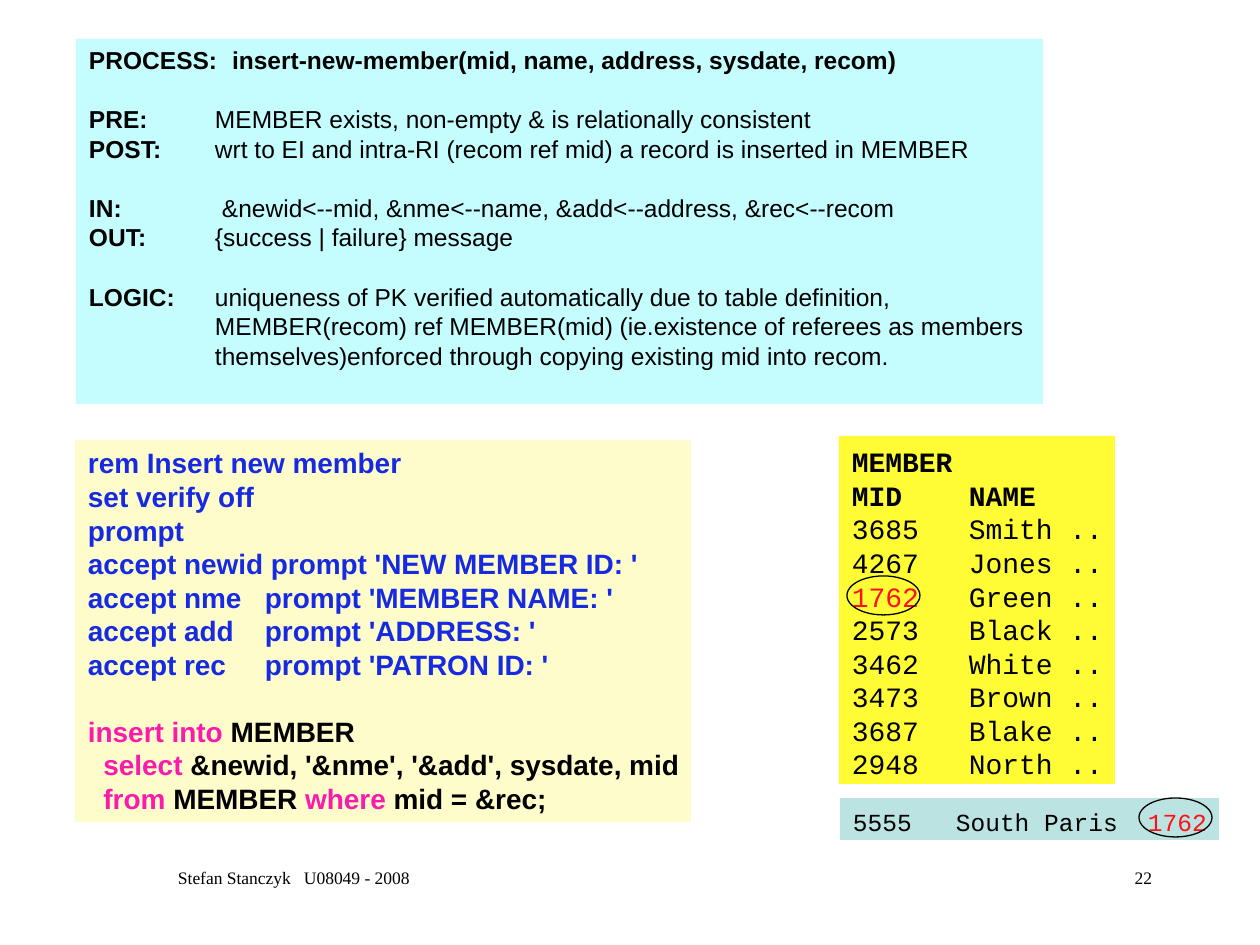
"""Build the slide that specifies and codes the insert-new-member process."""
import pptx
import pptx.util
import pptx.dml.color
import pptx.enum.shapes
import pptx.enum.text
import pptx.oxml

SCALE = 914400 / 126
SHAPE = pptx.enum.shapes.MSO_SHAPE
ALIGN = pptx.enum.text.PP_ALIGN

THEME = {
    "sky": "C5FDFF", "cream": "FFFCCC", "gold": "FFFC35", "teal": "BAE3E1",
    "ink": "000000", "blue": "162AE1", "pink": "FA1BAC", "red": "FF1115",
    "sans": "Arial", "mono": "Courier New", "serif": "Times New Roman",
    "small": 10, "mid": 14, "large": 16, "edge": 0.75,
    "lead": {10: 12, 14: 16.9, 16: 19.17},
}

BOLD, PLAIN = ("ink", True), ("ink", False)
BLUE, PINK, RED = ("blue", True), ("pink", True), ("red", False)


def entry(label, text, tab=126, gap=False):
    return [tab], gap, [(label + "\t", BOLD), (text, PLAIN)]


PROCESS = [
    ([143], False, [("PROCESS:\tinsert-new-member(mid, name, address, sysdate, recom)", BOLD)]),
    entry("PRE:", "MEMBER exists, non-empty & is relationally consistent", gap=True),
    entry("POST:", "wrt to EI and intra-RI (recom ref mid) a record is inserted in MEMBER"),
    entry("IN:", "&newid<--mid, &nme<--name, &add<--address, &rec<--recom", 133, True),
    entry("OUT:", "{success | failure} message"),
    entry("LOGIC:", "uniqueness of PK verified automatically due to table definition,", gap=True),
    entry("", "MEMBER(recom) ref MEMBER(mid) (ie.existence of referees as members"),
    entry("", "themselves)enforced through copying existing mid into recom."),
]

PROMPTS = [
    "rem Insert new member",
    "set verify off",
    "prompt",
    "accept newid prompt 'NEW MEMBER ID: '",
    "accept nme\tprompt 'MEMBER NAME: '",
    "accept add\tprompt 'ADDRESS: '",
    "accept rec\tprompt 'PATRON ID: '",
]
CODE = [([177], False, [(line, BLUE)]) for line in PROMPTS] + [
    ([], True, [("insert into ", PINK), ("MEMBER", BOLD)]),
    ([], False, [("  select ", PINK), ("&newid, '&nme', '&add', sysdate, mid", BOLD)]),
    ([], False, [("  from ", PINK), ("MEMBER ", BOLD), ("where ", PINK), ("mid = &rec;", BOLD)]),
]

REF = "1762"
ROWS = [("3685", "Smith"), ("4267", "Jones"), (REF, "Green"), ("2573", "Black"),
        ("3462", "White"), ("3473", "Brown"), ("3687", "Blake"), ("2948", "North")]
MEMBER = [([], False, [("MEMBER", BOLD)]), ([117], False, [("MID\tNAME", BOLD)])] + [
    ([117], False, [(key, RED if key == REF else PLAIN), (f"\t{name} ..", PLAIN)])
    for key, name in ROWS
]
ADDED = [([103, 295], False, [("5555\tSouth Paris\t", PLAIN), (REF, RED)])]
CREDIT = [([126], False, [("Stefan Stanczyk\tU08049 - 2008", PLAIN)])]
NUMBER = [([], False, [("22", PLAIN)])]

PANELS = [
    (PROCESS, (76, 39, 967, 365), "sky", "sans", "mid", {}),
    (CODE, (75, 440, 616, 382), "cream", "sans", "large", {}),
    (MEMBER, (839, 436, 276, 348), "gold", "mono", "large", {"margin_top": 9}),
    (ADDED, (840, 798, 379, 42), "teal", "mono", "mid", {"margin_top": 9}),
]
FOOTERS = [
    (CREDIT, (94, 861, 400, 63), ALIGN.LEFT, {"margin_left": 84}),
    (NUMBER, (903, 861, 262, 63), ALIGN.RIGHT, {}),
]
RINGS = [(1139, 798), (847, 576)]
RING = (73, 39)
INSETS = {"margin_left": 13, "margin_right": 13, "margin_top": 6, "margin_bottom": 6}


def px(num):
    return pptx.util.Emu(round(num * SCALE))


def tint(name):
    return pptx.dml.color.RGBColor.from_string(THEME[name])


def apply(item, form):
    for key, val in form.items():
        setattr(item, key, val)


def add_tabs(para, stops):
    props = para._p.get_or_add_pPr()
    tabs = pptx.oxml.parse_xml(
        '<a:tabLst xmlns:a="http://schemas.openxmlformats.org/drawingml/2006/main">'
        + "".join(f'<a:tab pos="{px(stop)}" algn="l"/>' for stop in stops)
        + "</a:tabLst>")
    props.append(tabs)


def write(frame, lines, face, size, align, insets, wrap):
    apply(frame, {key: px(val) for key, val in {**INSETS, **insets}.items()})
    apply(frame, {"word_wrap": wrap, "vertical_anchor": pptx.enum.text.MSO_ANCHOR.TOP})
    points = THEME[size]
    lead = pptx.util.Pt(THEME["lead"][points])
    for num, (stops, gap, runs) in enumerate(lines):
        para = frame.add_paragraph() if num else frame.paragraphs[0]
        if stops:
            add_tabs(para, stops)
        apply(para, {"alignment": align, "line_spacing": lead,
                     "space_before": lead if gap else pptx.util.Pt(0)})
        for text, (color, bold) in runs:
            run = para.add_run()
            run.text = text
            apply(run.font, {"name": THEME[face], "size": pptx.util.Pt(points), "bold": bold})
            run.font.color.rgb = tint(color)


def main():
    deck = pptx.Presentation()
    apply(deck, {"slide_width": px(1260), "slide_height": px(945)})
    shapes = deck.slides.add_slide(deck.slide_layouts[6]).shapes
    for lines, box, fill, face, size, insets in PANELS:
        panel = shapes.add_shape(SHAPE.RECTANGLE, *map(px, box))
        panel.shadow.inherit = False
        panel.fill.solid()
        panel.fill.fore_color.rgb = tint(fill)
        panel.line.fill.background()
        write(panel.text_frame, lines, face, size, ALIGN.LEFT, insets, False)
    for spot in RINGS:
        ring = shapes.add_shape(SHAPE.OVAL, *map(px, spot + RING))
        ring.shadow.inherit = False
        ring.fill.background()
        ring.line.color.rgb = tint("ink")
        ring.line.width = pptx.util.Pt(THEME["edge"])
    for lines, box, align, insets in FOOTERS:
        foot = shapes.add_textbox(*map(px, box))
        write(foot.text_frame, lines, "serif", "small", align, insets, True)
    deck.save("out.pptx")


if __name__ == "__main__":
    main()
